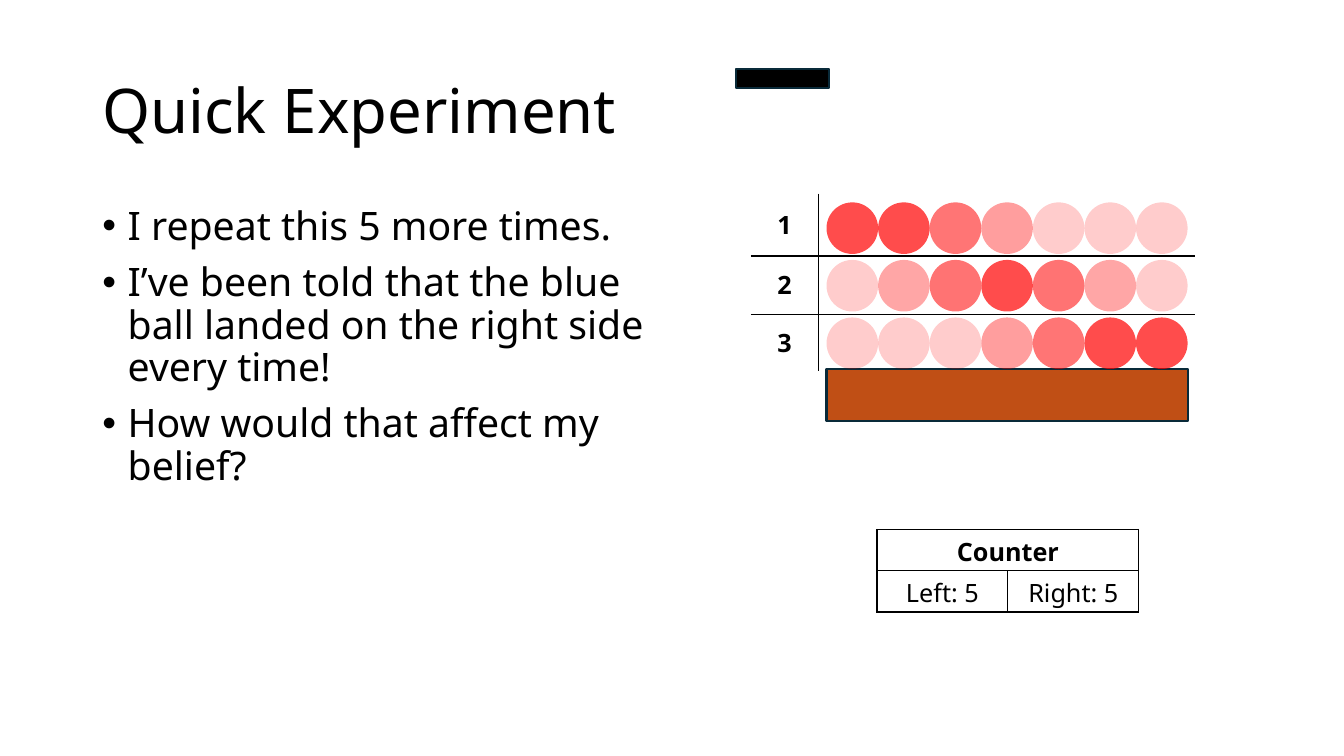
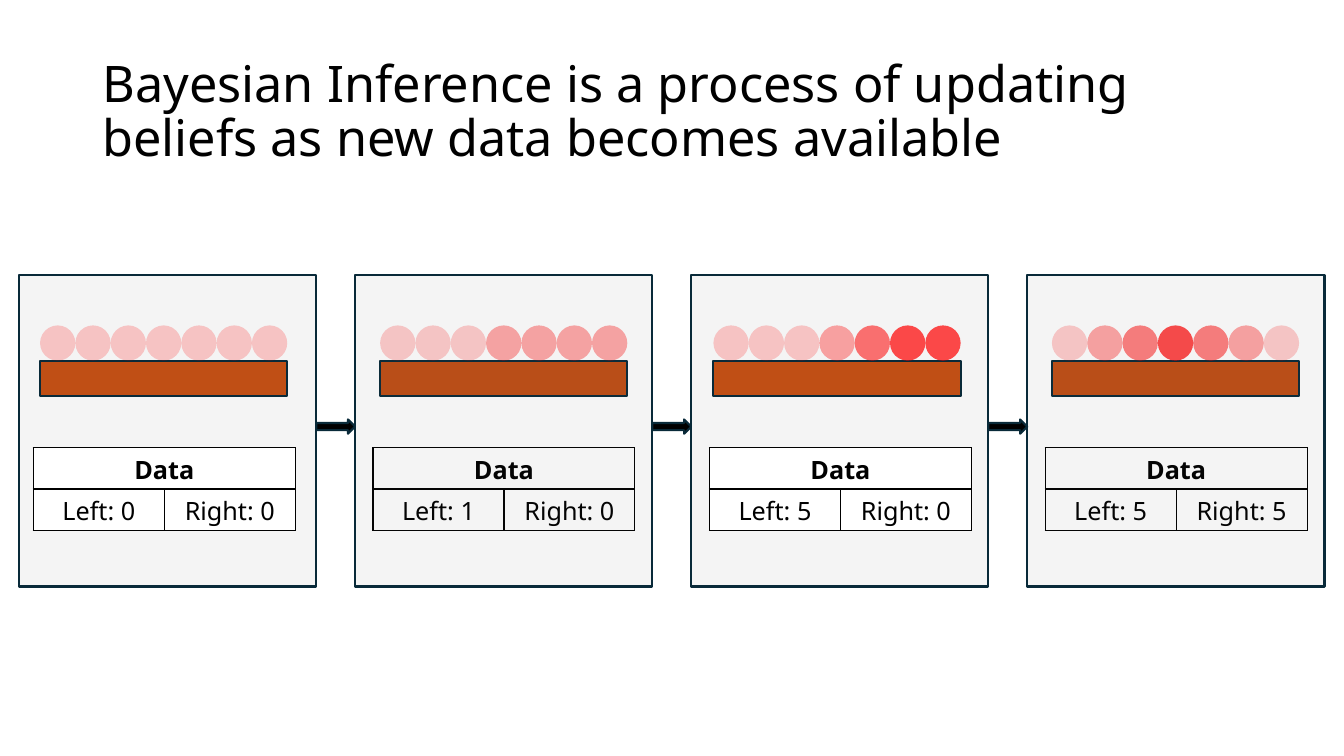
import dataclasses

import lxml.etree
import pptx
import pptx.dml.color
import pptx.enum.shapes
import pptx.enum.text
import pptx.oxml.ns
import pptx.util

Cm = pptx.util.Cm
Pt = pptx.util.Pt
SHAPES = pptx.enum.shapes.MSO_SHAPE
ALIGN = pptx.enum.text.PP_ALIGN
ANCHOR = pptx.enum.text.MSO_ANCHOR
qn = pptx.oxml.ns.qn


@dataclasses.dataclass(frozen=True)
class Theme:
    font: str = "Noto Sans"
    black: str = "000000"
    white: str = "FFFFFF"
    ball: str = "FF0000"
    board: str = "C04F15"
    panel: str = "4C4C4C"
    outline: str = "092A39"
    title_size: int = 44
    long_title_size: int = 36
    body_size: int = 28
    table_size: int = 18
    outline_width: float = 1.5
    border_width: float = 1


theme = Theme()


def write_text(frame, text, size, bold=False, align=ALIGN.LEFT, spacing=None, before=0, bullet=False):
    """Write one paragraph for each line of text."""
    frame.word_wrap = True
    for index, line in enumerate(text.split("\n")):
        para = frame.paragraphs[0] if index == 0 else frame.add_paragraph()
        para.alignment = align
        para.line_spacing = spacing
        para.space_before = Pt(before)
        if bullet:
            properties = para._p.get_or_add_pPr()
            properties.set("marL", str(Cm(0.64)))
            properties.set("indent", str(-Cm(0.64)))
            lxml.etree.SubElement(properties, qn("a:buFont"), typeface="Arial")
            lxml.etree.SubElement(properties, qn("a:buChar"), char="•")
        span = para.add_run()
        span.text = line
        span.font.name = theme.font
        span.font.size = Pt(size)
        span.font.bold = bold
        span.font.color.rgb = pptx.dml.color.RGBColor.from_string(theme.black)


def draw_shape(page, kind, left, top, width, height, fill, opacity=100, outlined=True):
    """Draw a preset shape; opacity is in percent."""
    shape = page.shapes.add_shape(kind, Cm(left), Cm(top), Cm(width), Cm(height))
    shape.shadow.inherit = False
    shape.fill.solid()
    shape.fill.fore_color.rgb = pptx.dml.color.RGBColor.from_string(fill)
    if opacity < 100:
        color = shape._element.spPr.find(qn("a:solidFill"))[0]
        lxml.etree.SubElement(color, qn("a:alpha"), val=str(opacity * 1000))
    if outlined:
        shape.line.color.rgb = pptx.dml.color.RGBColor.from_string(theme.outline)
        shape.line.width = Pt(theme.outline_width)
    else:
        shape.line.fill.background()


deck = pptx.Presentation()
deck.slide_width = Cm(33.87)
deck.slide_height = Cm(19.05)
experiment = deck.slides.add_slide(deck.slide_layouts[6])
inference = deck.slides.add_slide(deck.slide_layouts[6])

# Titles
for page, title, size in [
    (experiment, "Quick Experiment", theme.title_size),
    (inference, "Bayesian Inference is a process of updating beliefs as new data becomes available",
     theme.long_title_size),
]:
    box = page.shapes.add_textbox(Cm(2.33), Cm(1.02), Cm(29.21), Cm(3.68))
    box.text_frame.vertical_anchor = ANCHOR.MIDDLE
    write_text(box.text_frame, title, size, spacing=0.9)

# Bullets and black bar on the experiment page
box = experiment.shapes.add_textbox(Cm(2.33), Cm(5.08), Cm(14.8), Cm(12.09))
write_text(
    box.text_frame,
    "I repeat this 5 more times.\n"
    "I’ve been told that the blue ball landed on the right side every time!\n"
    "How would that affect my belief?",
    theme.body_size, spacing=0.9, before=10, bullet=True,
)
draw_shape(experiment, SHAPES.RECTANGLE, 18.54, 1.73, 2.36, 0.48, theme.black)

# Panels: the first and third lie behind their content, the others tint it
panel_top, panel_width, panel_height, panel_pitch = 6.93, 7.49, 7.85, 8.47
panel_lefts = [0.48 + index * panel_pitch for index in range(4)]
for left in panel_lefts[::2]:
    draw_shape(inference, SHAPES.RECTANGLE, left, panel_top, panel_width, panel_height, theme.panel, 6)

# Boards with rows of balls, the opacity of a ball showing the strength of belief
leaning_left = [70, 70, 54, 38, 20, 20, 20]
leaning_right = leaning_left[::-1]
boards = [
    (experiment, 20.83, 9.3, 1.3, [leaning_right, [20, 35, 55, 70, 55, 35, 20], leaning_left]),
    (inference, 1.01, 9.09, 0.89, [[20] * 7]),
    (inference, 9.58, 9.09, 0.89, [[20, 20, 20, 34, 34, 34, 34]]),
    (inference, 17.98, 9.09, 0.89, [[20, 20, 20, 34, 54, 70, 70]]),
    (inference, 26.51, 9.09, 0.89, [[20, 35, 50, 71, 50, 35, 20]]),
]
row_pitch = 1.45
for page, left, top, diameter, ball_rows in boards:
    draw_shape(page, SHAPES.RECTANGLE, left, top, 7 * diameter, diameter, theme.board)
    for level, opacities in enumerate(ball_rows):
        ball_top = top - diameter - level * row_pitch
        for index, opacity in enumerate(opacities):
            draw_shape(page, SHAPES.OVAL, left + index * diameter, ball_top, diameter, diameter,
                       theme.ball, opacity, outlined=False)

# Tables: the numbered grid has inner lines only, the counters are boxed
counter_columns, counter_rows = [3.3, 3.3], [1.04, 1.04]
tables = [(experiment, 18.92, 4.88, [1.7, 9.5], [1.57, 1.47, 1.42], [["1"], ["2"], ["3"]], False)]
for page, left, top, heading, left_count, right_count in [
    (experiment, 22.1, 13.34, "Counter", 5, 5),
    (inference, 0.84, 11.28, "Data", 0, 0),
    (inference, 9.4, 11.28, "Data", 1, 0),
    (inference, 17.88, 11.28, "Data", 5, 0),
    (inference, 26.34, 11.28, "Data", 5, 5),
]:
    texts = [[heading], [f"Left: {left_count}", f"Right: {right_count}"]]
    tables.append((page, left, top, counter_columns, counter_rows, texts, True))

for page, left, top, columns, rows, texts, boxed in tables:
    table = page.shapes.add_table(len(rows), len(columns), Cm(left), Cm(top),
                                  Cm(sum(columns)), Cm(sum(rows))).table
    table.first_row = table.horz_banding = False
    for column, width in zip(table.columns, columns):
        column.width = Cm(width)
    for row, height in zip(table.rows, rows):
        row.height = Cm(height)
    if boxed:
        table.cell(0, 0).merge(table.cell(0, 1))
    for y in range(len(rows)):
        for x in range(len(columns)):
            cell = table.cell(y, x)
            cell.vertical_anchor = ANCHOR.MIDDLE
            inner_sides = {"L": x > 0, "R": x < len(columns) - 1, "T": y > 0, "B": y < len(rows) - 1}
            for side, inner in inner_sides.items():
                border = lxml.etree.SubElement(cell._tc.get_or_add_tcPr(), qn(f"a:ln{side}"),
                                               w=str(Pt(theme.border_width)))
                if boxed or inner:
                    paint = lxml.etree.SubElement(border, qn("a:solidFill"))
                    lxml.etree.SubElement(paint, qn("a:srgbClr"), val=theme.black)
                else:
                    lxml.etree.SubElement(border, qn("a:noFill"))
            if boxed:
                cell.fill.solid()
                cell.fill.fore_color.rgb = pptx.dml.color.RGBColor.from_string(theme.white)
            else:
                cell.fill.background()
            if x < len(texts[y]):
                write_text(cell.text_frame, texts[y][x], theme.table_size,
                           bold=len(texts[y]) == 1, align=ALIGN.CENTER)

# Tinting panels, then arrows in the gaps
for left in panel_lefts[1::2]:
    draw_shape(inference, SHAPES.RECTANGLE, left, panel_top, panel_width, panel_height, theme.panel, 6)
for left in panel_lefts[:-1]:
    draw_shape(inference, SHAPES.RIGHT_ARROW, left + panel_width, 10.57,
               panel_pitch - panel_width, 0.36, theme.black)

deck.save("out.pptx")
